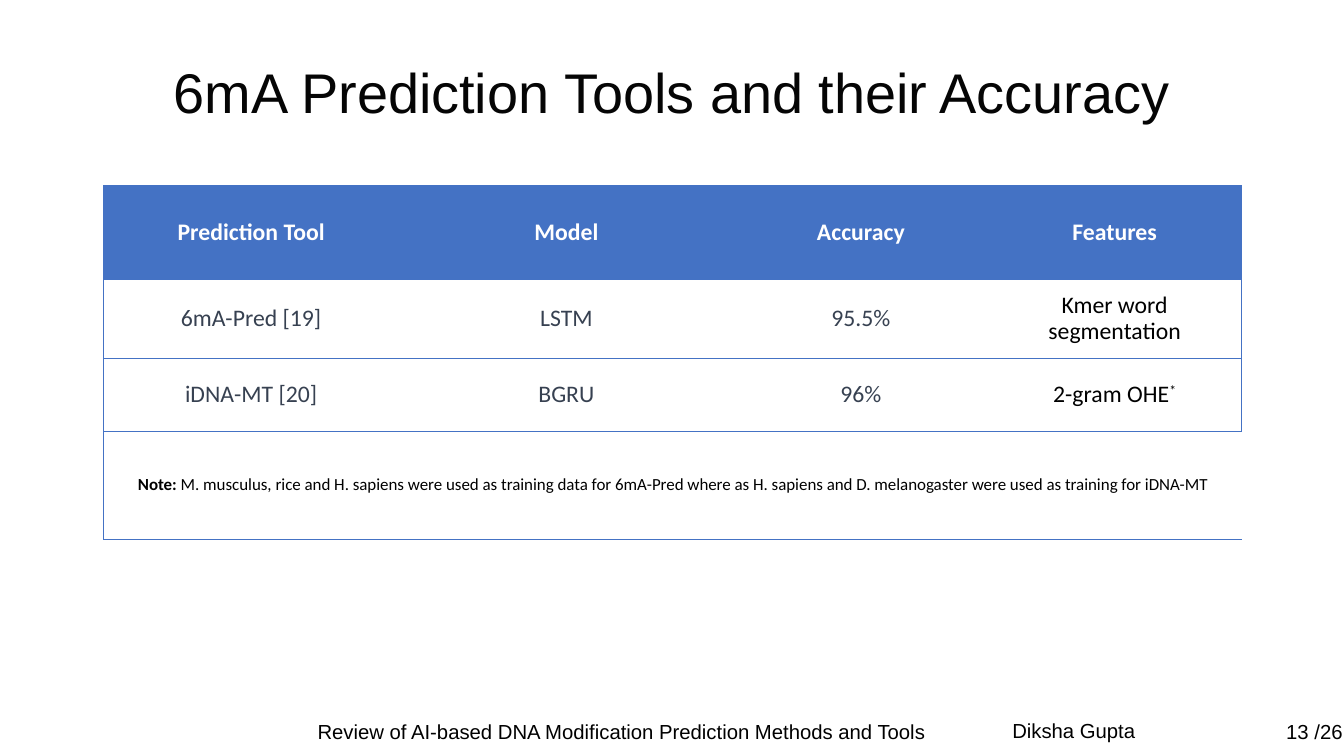
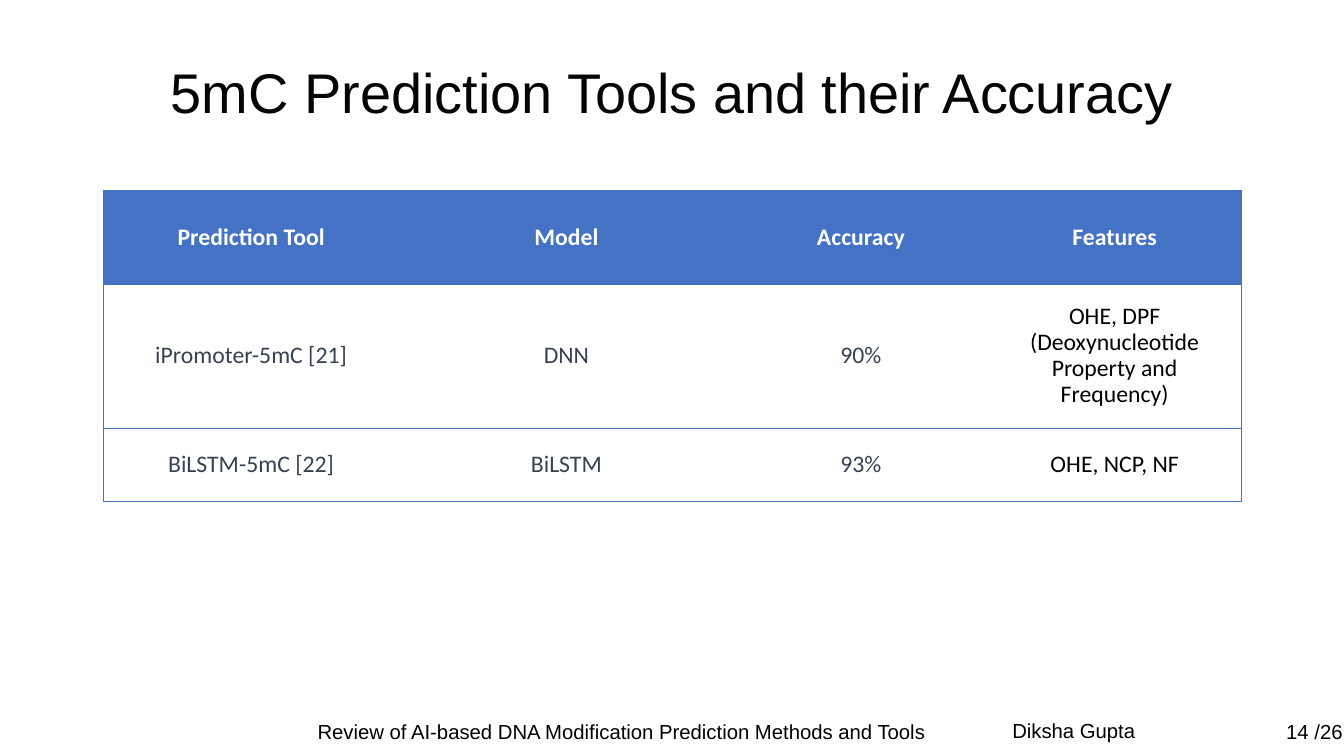
"""Build two slides that list DNA prediction tools and their accuracy."""
from dataclasses import dataclass
from typing import NamedTuple

from lxml.etree import SubElement as Sub
from pptx import Presentation as Deck
from pptx.dml.color import RGBColor as Color
from pptx.enum.text import MSO_VERTICAL_ANCHOR as Anchor
from pptx.enum.text import PP_PARAGRAPH_ALIGNMENT as Align
from pptx.oxml.ns import qn
from pptx.slide import Slide
from pptx.table import _Cell as Cell
from pptx.text.text import TextFrame as Frame
from pptx.util import Pt


@dataclass(frozen=True)
class Theme:
    blue: str = "4472C4"
    white: str = "FFFFFF"
    black: str = "000000"
    ink: str = "050505"
    slate: str = "374151"
    sans: str = "Arial"
    grid: str = "Calibri"
    head: float = 33
    body: float = 14
    foot: float = 12
    note: float = 10
    rule: float = 0.23


class Part(NamedTuple):
    text: str
    bold: bool = False
    lift: bool = False


class Box(NamedTuple):
    left: float
    top: float
    width: float
    height: float


class Label(NamedTuple):
    text: str
    box: Box
    align: Align


class Page(NamedTuple):
    num: int
    title: str
    top: float
    rows: list
    heights: list
    note: tuple = ()


THEME = Theme()
SIZE = (793.44, 446.4)
TITLE = Box(77.8, 17.3, 637.9, 73.4)
LEFT = 61.2
COLS = (174.2, 198, 149.8, 149.8)
HEADS = ("Prediction Tool", "Model", "Accuracy", "Features")
PLAIN = "{2D5ABB26-0587-4C30-8999-92F81FD0307C}"
TOTAL = 26
FEET = (
    Label("Review of AI-based DNA Modification Prediction Methods and Tools",
          Box(177.1, 424.8, 380, 16), Align.CENTER),
    Label("Diksha Gupta", Box(597.6, 424.1, 90, 16), Align.LEFT),
)
PAGES = (
    Page(13, "6mA Prediction Tools and their Accuracy", 109.4,
         [("6mA-Pred [19]", "LSTM", "95.5%", "Kmer word segmentation"),
          ("iDNA-MT [20]", "BGRU", "96%",
           (Part("2-gram OHE"), Part("*", lift=True)))],
         [55.4, 46.8, 43.2, 63.4],
         (Part("Note: ", bold=True),
          Part("M. musculus, rice and H. sapiens were used as training data "
               "for 6mA-Pred where as H. sapiens and D. melanogaster were "
               "used as training for iDNA-MT"))),
    Page(14, "5mC Prediction Tools and their Accuracy", 112.3,
         [("iPromoter-5mC [21]", "DNN", "90%",
           "OHE, DPF (Deoxynucleotide Property and Frequency)"),
          ("BiLSTM-5mC [22]", "BiLSTM", "93%", "OHE, NCP, NF")],
         [55.4, 85, 43.2]),
)


def write(frame: Frame, text: str | tuple, *, size: float, font: str = THEME.sans,
          color: str = THEME.black, bold: bool = False,
          align: Align = Align.CENTER, space: float = 1) -> None:
    line = frame.paragraphs[0]
    line.alignment = align
    line.line_spacing = space
    for part in (Part(text),) if isinstance(text, str) else text:
        run = line.add_run()
        run.text = part.text
        run.font.name = font
        run.font.size = Pt(size)
        run.font.bold = bold or part.bold
        run.font.color.rgb = Color.from_string(color)
        if part.lift:
            run.font._element.set("baseline", "30000")


def place(slide: Slide, text: str, box: Box, anchor: Anchor = Anchor.TOP,
          **form) -> None:
    frame = slide.shapes.add_textbox(*map(Pt, box)).text_frame
    frame.word_wrap = True
    frame.vertical_anchor = anchor
    frame.margin_left = frame.margin_right = 0
    frame.margin_top = frame.margin_bottom = 0
    write(frame, text, **form)


def edge(cell: Cell, sides: str) -> None:
    props = cell._tc.get_or_add_tcPr()
    for side in sides:
        line = Sub(props, qn(f"a:ln{side}"), w=str(Pt(THEME.rule)))
        fill = Sub(line, qn("a:solidFill"))
        Sub(fill, qn("a:srgbClr"), val=THEME.blue)


def chart(slide: Slide, page: Page) -> None:
    shape = slide.shapes.add_table(
        len(page.heights), len(COLS), Pt(LEFT), Pt(page.top),
        Pt(sum(COLS)), Pt(sum(page.heights)))
    table = shape.table
    table._tbl.tblPr.find(qn("a:tableStyleId")).text = PLAIN
    table.horz_banding = False
    for col, width in zip(table.columns, COLS):
        col.width = Pt(width)
    for row, height in zip(table.rows, page.heights):
        row.height = Pt(height)
        last = len(COLS) - 1
        for c, cell in enumerate(row.cells):
            edge(cell, "L" * (c == 0) + "R" * (c == last) + "TB")
            cell.vertical_anchor = Anchor.MIDDLE
    for r, row in enumerate([HEADS, *page.rows]):
        for c, text in enumerate(row):
            cell = table.cell(r, c)
            if r == 0:
                cell.fill.solid()
                cell.fill.fore_color.rgb = Color.from_string(THEME.blue)
                form = {"color": THEME.white, "bold": True}
            else:
                tint = THEME.black if c == last else THEME.slate
                form = {"color": tint, "space": 0.9}
            write(cell.text_frame, text, size=THEME.body, font=THEME.grid, **form)
    if page.note:
        base = len(page.heights) - 1
        cell = table.cell(base, 0)
        cell.merge(table.cell(base, last))
        write(cell.text_frame, page.note, size=THEME.note, font=THEME.grid)


def build(deck: Deck, page: Page) -> None:
    slide = deck.slides.add_slide(deck.slide_layouts[6])
    count = Label(f"{page.num} /{TOTAL}", Box(712.7, 424.8, 80, 16), Align.RIGHT)
    for foot in (*FEET, count):
        place(slide, foot.text, foot.box, size=THEME.foot, align=foot.align)
    place(slide, page.title, TITLE, Anchor.MIDDLE, size=THEME.head, color=THEME.ink)
    chart(slide, page)


def main() -> None:
    deck = Deck()
    deck.slide_width, deck.slide_height = map(Pt, SIZE)
    for page in PAGES:
        build(deck, page)
    deck.save("out.pptx")


if __name__ == "__main__":
    main()
